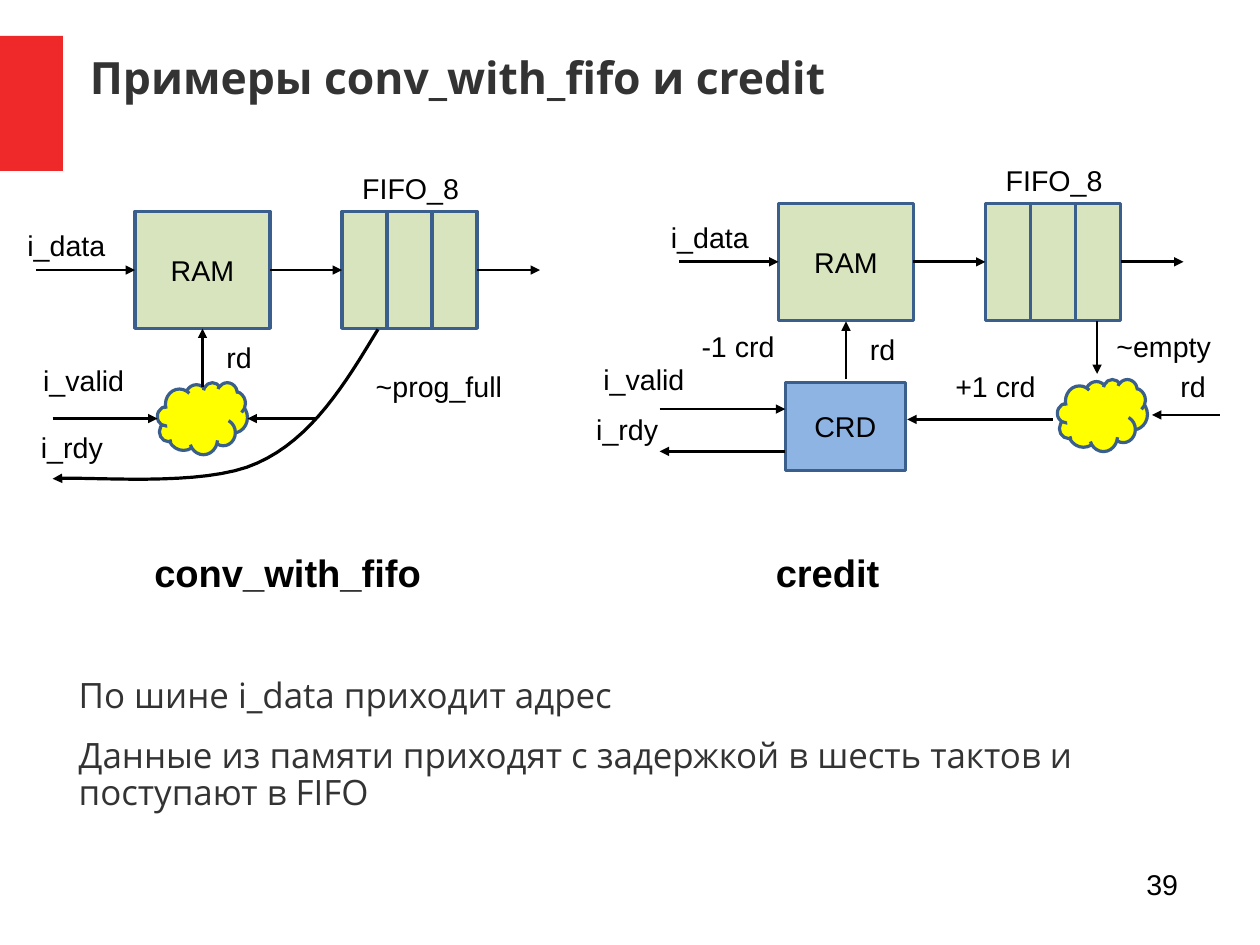
from pptx import Presentation
from pptx.dml.color import RGBColor as RGB
from pptx.enum.shapes import MSO_CONNECTOR as Link, MSO_SHAPE as Kind
from pptx.enum.text import MSO_ANCHOR as Anchor, PP_ALIGN as Align
from pptx.oxml.ns import qn
from pptx.util import Cm, Pt
from lxml.etree import SubElement as Sub

HUES = {
    "red": "EF2929", "green": "D7E4BD", "blue": "8EB4E3", "yellow": "FFFF00",
    "edge": "3A5F8C", "black": "000000", "grey": "333333",
}


def hue(name):
    return RGB.from_string(HUES[name])


def write(frame, text, size=18, font="Arial", color="black", bold=False,
          align=Align.LEFT, anchor=Anchor.TOP, wrap=True, inset=None,
          left=None, after=0, pitch=None):
    """Fill a text frame, one paragraph for each line of text."""
    frame.word_wrap = wrap
    frame.vertical_anchor = anchor
    if inset is not None:
        frame.margin_left = frame.margin_right = Cm(inset)
        frame.margin_top = frame.margin_bottom = Cm(inset)
    if left is not None:
        frame.margin_left = Cm(left)
    for i, line in enumerate(text.split("\n")):
        para = frame.add_paragraph() if i else frame.paragraphs[0]
        para.alignment = align
        para.space_after = Pt(after)
        if pitch:
            para.line_spacing = pitch
        run = para.add_run()
        run.text = line
        run.font.size, run.font.name, run.font.bold = Pt(size), font, bold
        run.font.color.rgb = hue(color)


class Sketch:
    def __init__(self, slide, edge=2, wire=1.75):
        self.slide, self.edge, self.wire = slide, edge, wire

    def text(self, x, y, w, h, words, **form):
        box = self.slide.shapes.add_textbox(Cm(x), Cm(y), Cm(w), Cm(h))
        write(box.text_frame, words, **form)

    def label(self, x, y, w, words, **form):
        self.text(x, y, w, 1.02, words, wrap=False, **form)

    def shape(self, x, y, w, h, fill, words="", kind=Kind.RECTANGLE, edge=True):
        item = self.slide.shapes.add_shape(kind, Cm(x), Cm(y), Cm(w), Cm(h))
        item.shadow.inherit = False
        item.fill.solid()
        item.fill.fore_color.rgb = hue(fill)
        if edge:
            item.line.color.rgb = hue("edge")
            item.line.width = Pt(self.edge)
        else:
            item.line.fill.background()
        if words:
            write(item.text_frame, words, align=Align.CENTER,
                  anchor=Anchor.MIDDLE)

    def cloud(self, x, y):
        self.shape(x, y, 2, 1.6, "yellow", kind=Kind.CLOUD)

    def tip(self, item, width):
        item.line.color.rgb = hue("black")
        item.line.width = Pt(width)
        Sub(item.line._get_or_add_ln(), qn("a:tailEnd"), type="triangle")

    def arrow(self, x1, y1, x2, y2, width=None):
        item = self.slide.shapes.add_connector(
            Link.STRAIGHT, Cm(x1), Cm(y1), Cm(x2), Cm(y2))
        self.tip(item, width or self.wire)
        Sub(item._element.spPr, qn("a:effectLst"))

    def curve(self, start, *bends, steps=16):
        """Draw cubic bends, each given as two handles and an end."""
        dots, here = [], start
        for bend in bends:
            for i in range(1, steps + 1):
                t = i / steps
                u = 1 - t
                rates = (u ** 3, 3 * u * u * t, 3 * u * t * t, t ** 3)
                knots = (here, *bend)
                dots.append(tuple(
                    Cm(sum(r * k[n] for r, k in zip(rates, knots)))
                    for n in (0, 1)))
            here = bend[-1]
        pen = self.slide.shapes.build_freeform(Cm(start[0]), Cm(start[1]))
        pen.add_line_segments(dots, close=False)
        item = pen.convert_to_shape()
        item.shadow.inherit = False
        item.fill.background()
        self.tip(item, 2)

    def stage(self, x, y):
        """Draw the RAM that feeds a FIFO; x, y is the RAM corner."""
        mid = y + 1.3
        self.shape(x, y, 3, 2.6, "green", "RAM")
        for i in range(3):
            self.shape(x + 4.6 + i, y, 1, 2.6, "green")
        self.label(x + 4.8, y - 1.03, 2.69, "FIFO_8")
        self.label(x - 2.64, y + 0.24, 2.26, "i_data")
        for a, b in ((-2.2, 0), (3, 4.6), (7.6, 9)):
            self.arrow(x + a, mid, x + b, mid)


def main():
    deck = Presentation()
    deck.slide_width, deck.slide_height = Cm(28), Cm(21)
    art = Sketch(deck.slides.add_slide(deck.slide_layouts[6]))

    # Title, notes and page number
    look = dict(font="Open Sans", color="grey", inset=0)
    art.shape(0, 0.8, 1.4, 3, "red", edge=False)
    art.text(2, 0.84, 24.6, 1.75, "Примеры conv_with_fifo и credit",
             size=28, bold=True, anchor=Anchor.MIDDLE, **look)
    art.text(1.45, 15.1, 25.6, 4.14,
             "По шине i_data приходит адрес\n"
             "Данные из памяти приходят с задержкой в шесть тактов "
             "и поступают в FIFO",
             size=22, left=0.3, after=14.1, pitch=0.88, **look)
    art.text(20.07, 19.13, 6.36, 1.45, "39", align=Align.RIGHT)

    # Left scheme: conv_with_fifo
    art.stage(3, 4.7)
    art.cloud(3.5, 8.5)
    art.arrow(4.5, 8.6, 4.5, 7.3)
    art.curve((8.4, 7.32),
              ((7.67, 8.53), (6.93, 9.75), (5.72, 10.29)),
              ((4.52, 10.85), (1.93, 10.57), (1.17, 10.64)))
    art.arrow(7, 9.3, 5.5, 9.3)
    art.arrow(1.17, 9.3, 3.5, 9.3)
    art.label(0.71, 7.95, 2.34, "i_valid")
    art.label(0.66, 9.42, 1.9, "i_rdy")
    art.label(8.1, 8.08, 3.35, "~prog_full")
    art.label(4.78, 7.44, 1.09, "rd")

    # Right scheme: credit
    art.stage(17.3, 4.52)
    art.shape(17.45, 8.5, 2.67, 1.96, "blue", "CRD")
    art.cloud(23.5, 8.43)
    art.arrow(18.8, 8.43, 18.8, 7.14)
    art.arrow(23.4, 9.32, 20.16, 9.32)
    art.arrow(14.66, 9.09, 17.45, 9.09)
    art.arrow(17.45, 10.03, 14.66, 10.03)
    art.arrow(27.1, 9.22, 25.6, 9.22)
    art.arrow(24.38, 7.14, 24.38, 8.31, width=1.5)
    art.label(13.16, 7.92, 2.34, "i_valid")
    art.label(13, 9.02, 1.9, "i_rdy")
    art.label(19.08, 7.26, 1.09, "rd")
    art.label(25.98, 8.08, 1.09, "rd")
    art.label(24.56, 7.19, 2.64, "~empty")
    art.text(20.98, 8.08, 2.41, 1.02, "+1 crd")
    art.text(15.34, 7.19, 2.41, 1.02, "-1 crd")

    # Scheme names
    art.label(3.18, 12.09, 6.5, "conv_with_fifo", size=24, bold=True)
    art.label(16.99, 12.09, 2.84, "credit", size=24, bold=True)

    deck.save("out.pptx")


if __name__ == "__main__":
    main()
